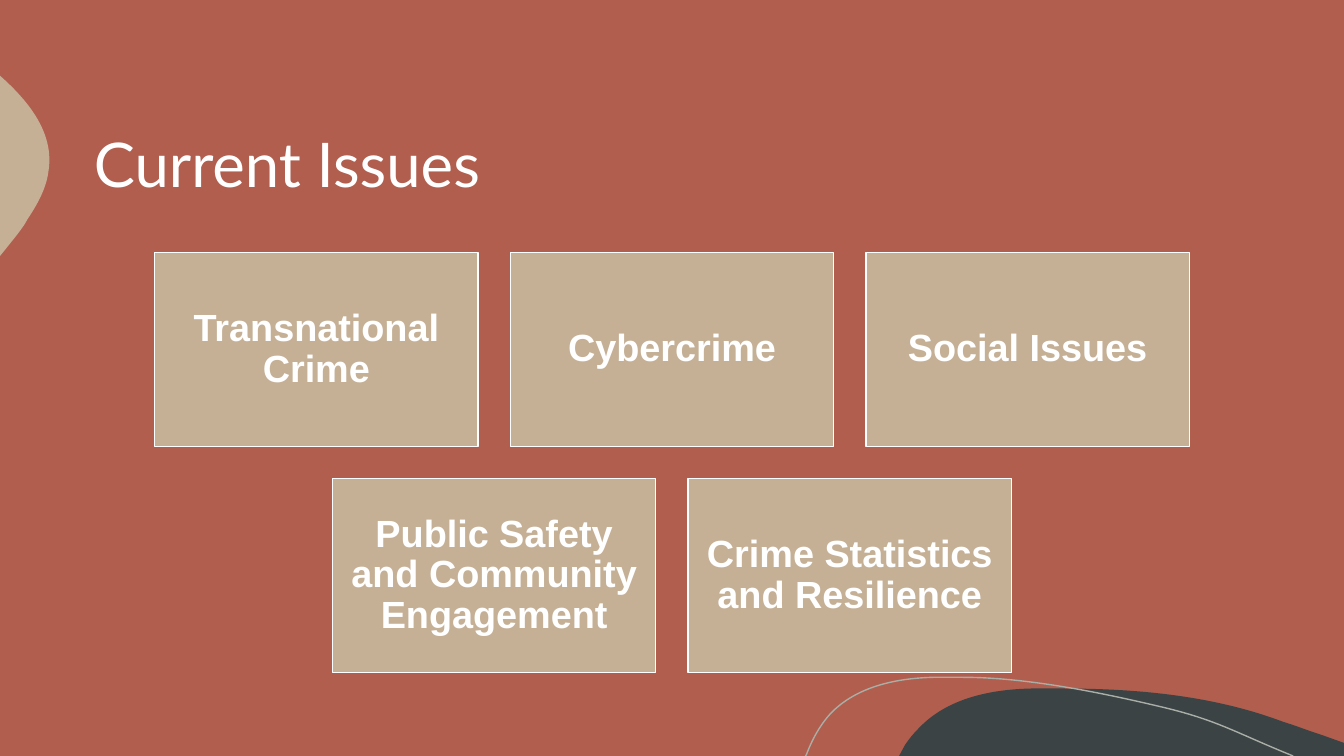
from dataclasses import dataclass

from lxml.etree import SubElement as Sub
from pptx import Presentation
from pptx.dml.color import RGBColor as Rgb
from pptx.enum.shapes import MSO_SHAPE as Shape
from pptx.enum.text import MSO_ANCHOR as Anchor, PP_ALIGN as Align
from pptx.oxml.ns import qn
from pptx.util import Pt


@dataclass(frozen=True)
class Theme:
    back: Rgb = Rgb.from_string("B15E4E")
    sand: Rgb = Rgb.from_string("C5B096")
    slate: Rgb = Rgb.from_string("3B4345")
    mist: Rgb = Rgb.from_string("A9AEA7")
    white: Rgb = Rgb.from_string("FFFFFF")
    head: int = 44
    card: int = 27


THEME = Theme()
ROWS = [
    ["Transnational Crime", "Cybercrime", "Social Issues"],
    ["Public Safety and Community Engagement", "Crime Statistics and Resilience"],
]

# Outlines relative to their box: a pair is a line, three pairs are a curve
HILL = [
    (116.6, 0), (169.9, 0, 224.6, 5, 274.3, 23.8),
    (283.7, 26.6, 292.3, 30.2, 301.7, 33.1), (317.8, 38.9), (317.8, 48.2),
    (0, 48.2), (4.3, 40.3), (7.2, 36, 10.1, 32.4, 13.7, 28.8),
    (33.8, 7.2, 64.8, 0.7, 94.3, 0), (101.5, 0, 109.4, 0, 116.6, 0),
]
BLOB = [
    (0, 0), (0.7, 0.7), (21.6, 19.4, 38.9, 41.8, 34.6, 68.4),
    (33.1, 80.6, 26.6, 92.2, 19.4, 103),
    (17.3, 107.3, 12.2, 113.8, 5.8, 121.7), (0, 128.9),
]
WAVE = [
    (0, 56.2), (0.7, 55.4), (5, 43.9, 10.8, 33.8, 18, 25.9),
    (36.7, 6.5, 64.8, 0.7, 91.4, 0), (112.3, 0),
    (160.6, 0, 216.7, 12.2, 256.3, 21.6), (295.2, 31, 307.4, 39.6, 348.5, 56.2),
]


def apply(item, **values):
    for name, value in values.items():
        setattr(item, name, value)


def paint(shape, fill=None, line=None):
    shape.shadow.inherit = False
    for part, color in ((shape.fill, fill), (shape.line.fill, line)):
        if color is None:
            part.background()
        else:
            part.solid()
            part.fore_color.rgb = color
    if line is not None:
        shape.line.width = Pt(1)


def write(shape, text, size, face, align, pad, bold=False):
    frame = shape.text_frame
    apply(frame, word_wrap=True, vertical_anchor=Anchor.MIDDLE,
          margin_left=Pt(pad[0]), margin_right=Pt(pad[0]),
          margin_top=Pt(pad[1]), margin_bottom=Pt(pad[1]))
    para = frame.paragraphs[0]
    apply(para, text=text, alignment=align, line_spacing=0.9)
    apply(para.font, size=Pt(size), name=face, bold=bold)
    para.font.color.rgb = THEME.white


# Outline with its box at left, top; segments with handles become curves
def curve(slide, left, top, steps, fill=None, line=None):
    dots = [(Pt(left + step[-2]), Pt(top + step[-1])) for step in steps]
    pen = slide.shapes.build_freeform(*dots[0], scale=1.0)
    pen.add_line_segments(dots[1:], close=fill is not None)
    shape = pen.convert_to_shape()
    paint(shape, fill, line)
    for node, step in zip(list(shape.element.iter(qn("a:lnTo"))), steps[1:]):
        if len(step) == 6:
            bend = node.getparent().makeelement(qn("a:cubicBezTo"))
            for x, y in zip(step[::2], step[1::2]):
                Sub(bend, qn("a:pt"), x=str(Pt(x)), y=str(Pt(y)))
            node.getparent().replace(node, bend)


# Background and its ornaments
def decor(slide, wide, high):
    fill = slide.background.fill
    fill.solid()
    fill.fore_color.rgb = THEME.back
    curve(slide, wide - 317.8, high - 48.2, HILL, fill=THEME.slate)
    curve(slide, 0, 54, BLOB, fill=THEME.sand)
    curve(slide, 575.3, high - 56.2, WAVE, line=THEME.mist)


# Heading
def title(slide, left, top, wide, high):
    box = slide.shapes.add_textbox(Pt(left), Pt(top), Pt(wide), Pt(high))
    write(box, "Current Issues", THEME.head, "Lato", Align.LEFT, (7.2, 3.6))


# Centred rows of cards, with gaps a tenth of the card width
def cards(slide, left, top, wide, high):
    most = max(len(row) for row in ROWS)
    span = wide / (most + (most - 1) / 10)
    gap = span / 10
    tall = (high - gap * (len(ROWS) - 1)) / len(ROWS)
    for r, row in enumerate(ROWS):
        start = left + (most - len(row)) * (span + gap) / 2
        for c, text in enumerate(row):
            card = slide.shapes.add_shape(
                Shape.RECTANGLE, Pt(start + c * (span + gap)),
                Pt(top + r * (tall + gap)), Pt(span), Pt(tall))
            paint(card, THEME.sand, THEME.white)
            write(card, text, THEME.card, "Arial", Align.CENTER, (8, 8), True)


def main():
    deck = Presentation()
    apply(deck, slide_width=Pt(960), slide_height=Pt(540))
    slide = deck.slides.add_slide(deck.slide_layouts[6])
    decor(slide, 960, 540)
    title(slide, 60, 60, 840, 120)
    cards(slide, 110.5, 180.3, 739, 300.2)
    deck.save("out.pptx")


if __name__ == "__main__":
    main()
